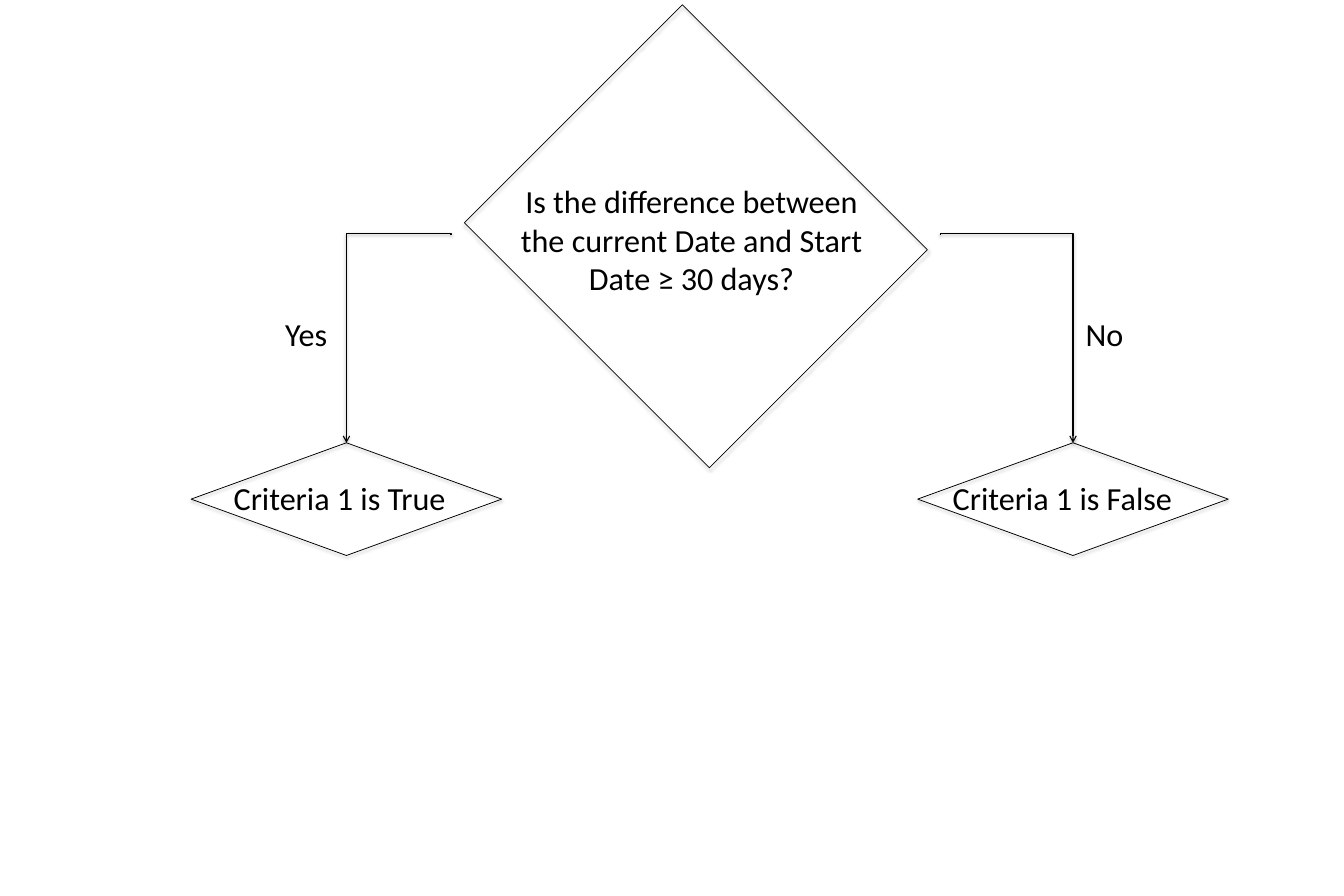
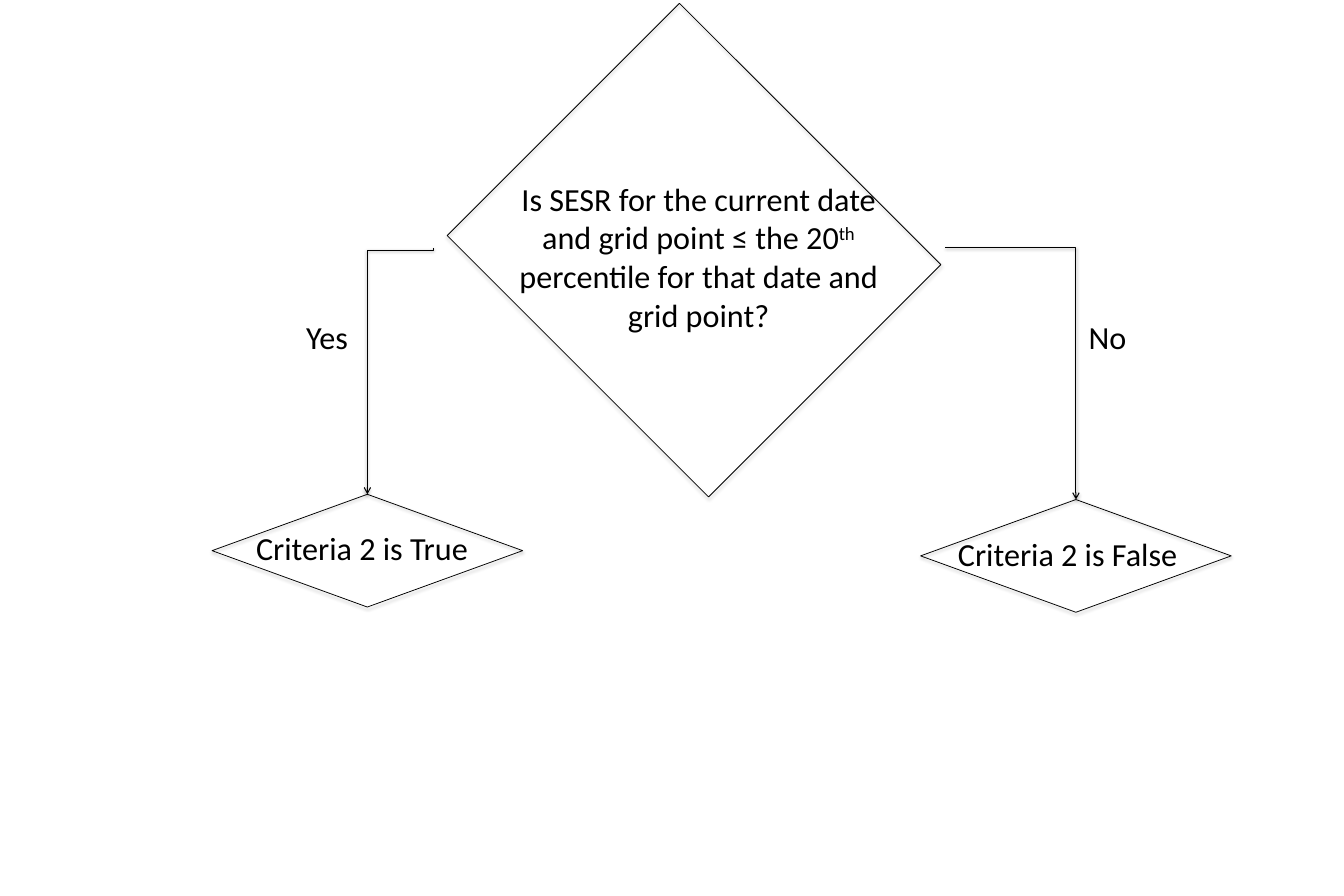
from lxml import etree
from pptx import Presentation
from pptx.dml.color import RGBColor
from pptx.enum.shapes import MSO_CONNECTOR, MSO_SHAPE
from pptx.enum.text import MSO_AUTO_SIZE, PP_ALIGN
from pptx.oxml.ns import qn
from pptx.util import Inches, Pt

PROCESS = MSO_SHAPE.FLOWCHART_PROCESS
DECISION = MSO_SHAPE.FLOWCHART_DECISION
ELBOW = MSO_CONNECTOR.ELBOW
FIT_SHAPE = MSO_AUTO_SIZE.SHAPE_TO_FIT_TEXT
LEFT, CENTER = PP_ALIGN.LEFT, PP_ALIGN.CENTER

COLORS = {"ink": "000000"}
FONT, FONT_SIZE = "Calibri", 31
LABEL_HEIGHT = 0.69
OUTCOME_WIDTH, OUTCOME_HEIGHT = 4.16, 1.51
YES_WIDTH, NO_WIDTH, YES_GAP = 0.94, 0.86, 0.05
BLANK_LAYOUT = 6


class Flowchart:
    """Holds the presentation style and the current slide."""

    def __init__(self):
        """Start an empty deck of 18 by 12 inches."""
        self.deck = Presentation()
        self.deck.slide_width, self.deck.slide_height = Inches(18), Inches(12)
        self.slide = None

    def new_slide(self):
        """Add a blank slide and make it current."""
        layout = self.deck.slide_layouts[BLANK_LAYOUT]
        self.slide = self.deck.slides.add_slide(layout)

    def outline(self, element, width, opacity, distance):
        """Give a shape or connector its thin line and soft drop shadow."""
        element.line.color.rgb = RGBColor.from_string(COLORS["ink"])
        element.line.width = Pt(width)
        properties = element._element.spPr
        for old in properties.findall(qn("a:effectLst")):
            properties.remove(old)
        effects = etree.SubElement(properties, qn("a:effectLst"))
        shadow = etree.SubElement(
            effects, qn("a:outerShdw"), blurRad=str(Pt(3.1)),
            dist=str(Pt(distance)), dir="5400000", rotWithShape="0")
        tint = etree.SubElement(shadow, qn("a:srgbClr"), val=COLORS["ink"])
        etree.SubElement(tint, qn("a:alpha"), val=str(opacity * 1000))

    def text(self, pieces, box, align=LEFT, wrap=False):
        """Write one paragraph of (text, baseline) pieces in a text box."""
        frame = self.slide.shapes.add_textbox(*map(Inches, box)).text_frame
        frame.word_wrap = wrap
        frame.auto_size = FIT_SHAPE
        frame.margin_left = frame.margin_right = Inches(0.17)
        frame.margin_top = frame.margin_bottom = Inches(0.09)
        paragraph = frame.paragraphs[0]
        paragraph.alignment = align
        paragraph.font.name, paragraph.font.size = FONT, Pt(FONT_SIZE)
        paragraph.font.color.rgb = RGBColor.from_string(COLORS["ink"])
        for wording, baseline in pieces:
            run = paragraph.add_run()
            run.text = wording
            if baseline:
                run.font._element.set("baseline", str(baseline * 1000))

    def symbol(self, kind, box, rotation=0):
        """Draw an unfilled flowchart symbol."""
        symbol = self.slide.shapes.add_shape(kind, *map(Inches, box))
        symbol.rotation = rotation
        symbol.fill.background()
        self.outline(symbol, 0.75, 35, 1.8)

    def branch(self, start, end, bend):
        """Draw an arrow that runs sideways from start, then down to end.

        The elbow is laid out lying down and turned by a quarter;
        bend is the part of the drop at which the sideways run lies.
        """
        (x1, y1), (x2, y2) = start, end
        drop, reach = y2 - y1, abs(x2 - x1)
        middle_x, middle_y = (x1 + x2) / 2, (y1 + y2) / 2
        near, far = middle_x - drop / 2, middle_x + drop / 2
        top, bottom = middle_y - reach / 2, middle_y + reach / 2
        turn = 90
        if x2 > x1:
            near, far, turn = far, near, 270
        arrow = self.slide.shapes.add_connector(
            ELBOW, *map(Inches, (near, top, far, bottom)))
        properties = arrow._element.spPr
        properties.find(qn("a:xfrm")).set("rot", str(turn * 60000))
        geometry = properties.find(qn("a:prstGeom"))
        guides = geometry.find(qn("a:avLst"))
        if guides is None:
            guides = etree.SubElement(geometry, qn("a:avLst"))
        etree.SubElement(guides, qn("a:gd"), name="adj1",
                         fmla=f"val {round(bend * 100000)}")
        self.outline(arrow, 1, 38, 1.6)
        etree.SubElement(properties.find(qn("a:ln")), qn("a:tailEnd"),
                         type="arrow")

    def outcome(self, answer, wording, label_box, start, tip, bend):
        """Draw one answer: its arrow, its label and the result symbol."""
        x, y = tip
        self.text([(wording, 0)], (*label_box, LABEL_HEIGHT))
        self.symbol(DECISION, (x - OUTCOME_WIDTH / 2, y,
                               OUTCOME_WIDTH, OUTCOME_HEIGHT))
        self.branch(start, tip, bend)
        is_yes = answer[0] == "Yes"
        width = YES_WIDTH if is_yes else NO_WIDTH
        left = x - YES_GAP - width if is_yes else x
        self.text([(answer[0], 0)], (left, answer[1], width, LABEL_HEIGHT))


CRITERIA = [
    {"question": [("Is the difference between the current Date and "
                   "Start Date ≥ 30 days?", 0)],
     "question_box": (6.72, 2.34, 5.08, 1.74),
     "diamond": (7, 1.1, 4.64, 4.13),
     "outcomes": [
         (("Yes", 4.12), "Criteria 1 is True", (2.96, 6.32, 3.24),
          (6.04, 3.15), (4.64, 5.93), -0.01),
         (("No", 4.12), "Criteria 1 is False", (12.59, 6.32, 3.33),
          (12.59, 3.15), (14.37, 5.93), -0.01)]},
    {"question": [("Is SESR for the current date and grid point ≤ the 20", 0),
                  ("th", 30),
                  (" percentile for that date and grid point?", 0)],
     "question_box": (6.65, 2.31, 5.41, 2.26),
     "diamond": (6.82, 1.15, 4.95, 4.4),
     "outcomes": [
         (("Yes", 4.16), "Criteria 2 is True", (3.26, 6.98, 3.24),
          (5.8, 3.32), (4.92, 6.62), 0.01),
         (("No", 4.16), "Criteria 2 is False", (12.66, 7.06, 3.33),
          (12.66, 3.32), (14.41, 6.69), 0)]},
]


def main():
    """Build one decision slide for each criterion."""
    chart = Flowchart()
    for criterion in CRITERIA:
        chart.new_slide()
        chart.text(criterion["question"], criterion["question_box"],
                   CENTER, wrap=True)
        chart.symbol(PROCESS, criterion["diamond"], rotation=45)
        for outcome in criterion["outcomes"]:
            chart.outcome(*outcome)
    chart.deck.save("out.pptx")


main()
